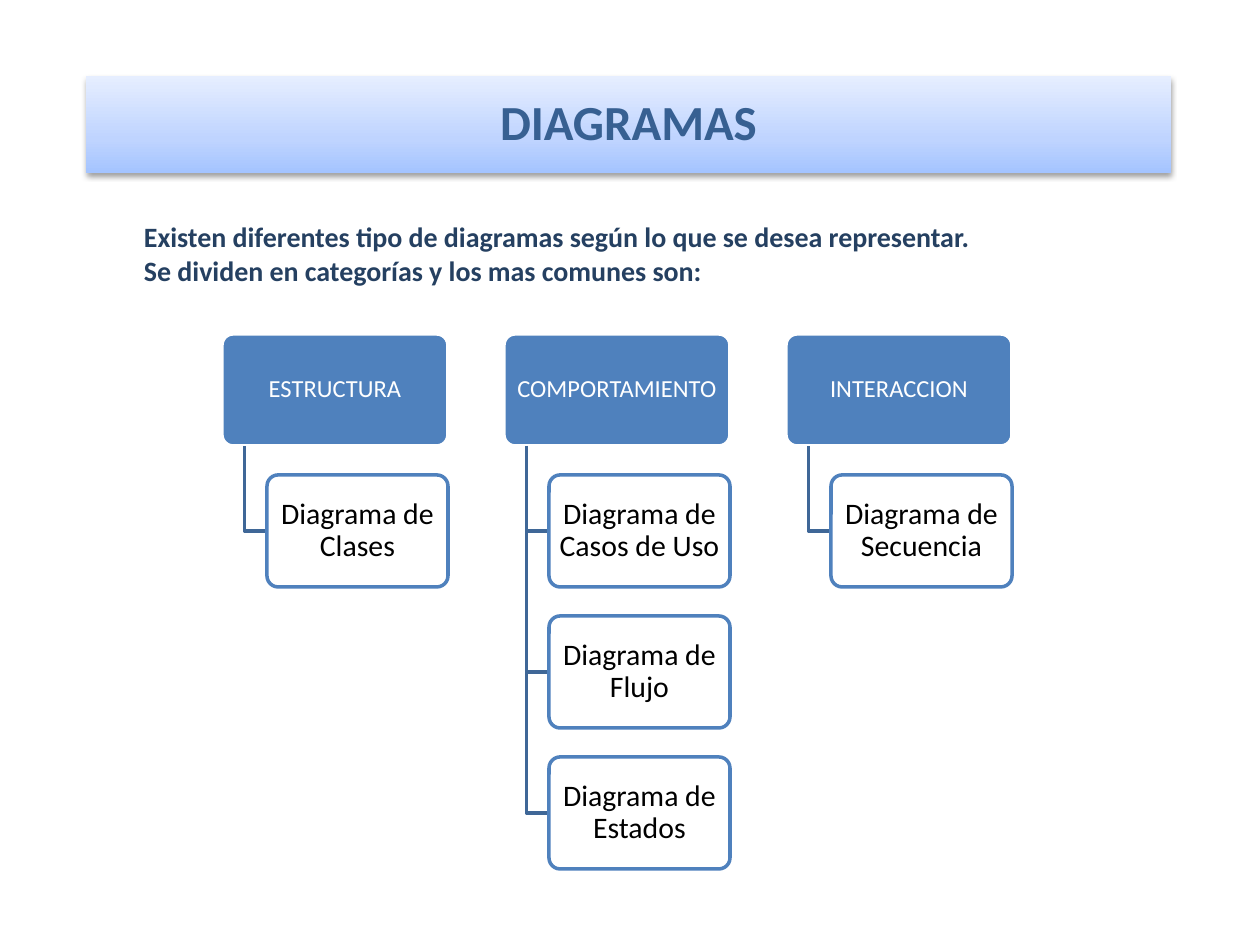
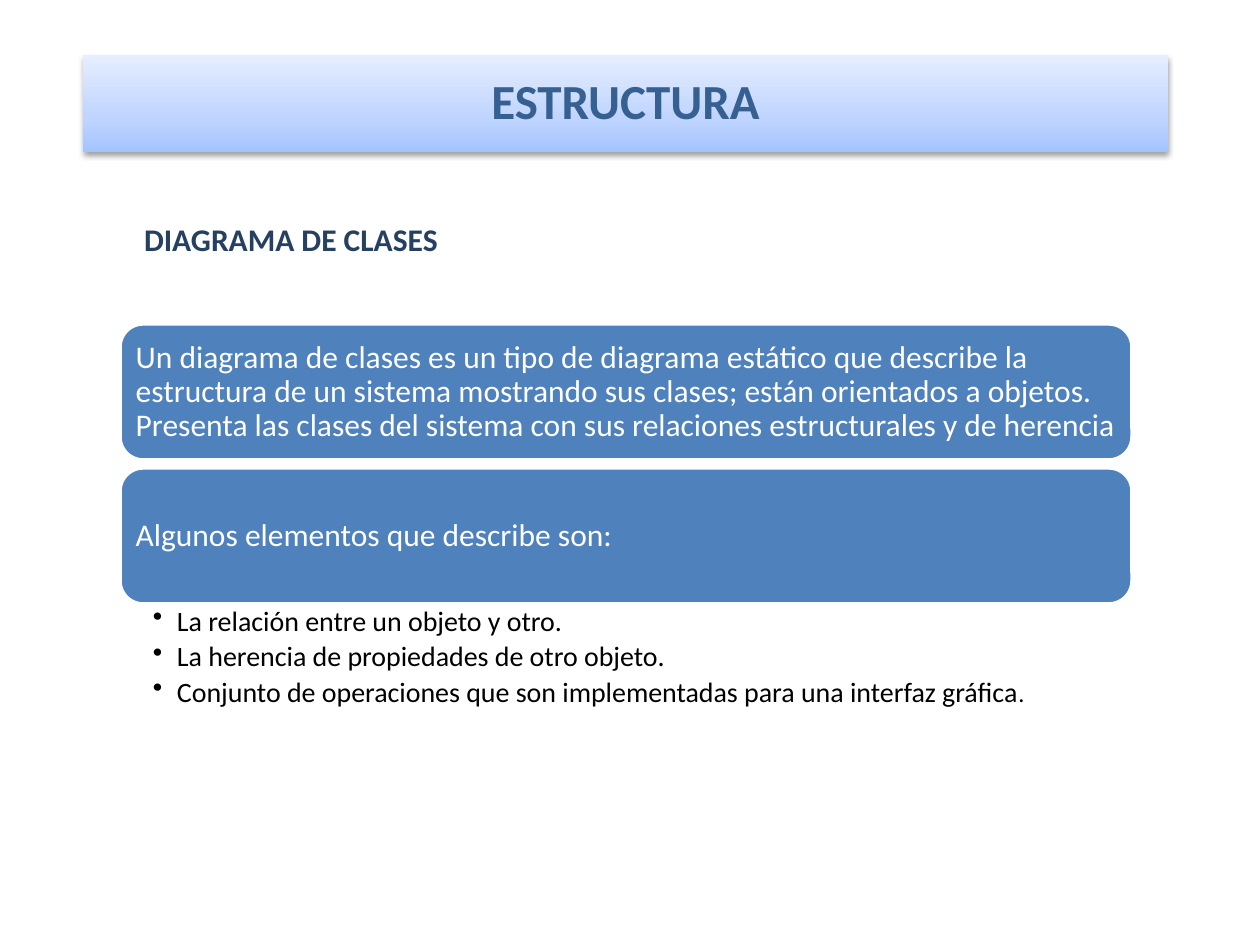
from copy import deepcopy

from lxml import etree
from pptx import Presentation
from pptx.dml.color import RGBColor
from pptx.enum.shapes import MSO_SHAPE
from pptx.enum.text import MSO_ANCHOR, PP_ALIGN
from pptx.oxml.ns import qn
from pptx.util import Emu, Pt

RECT, ROUND = MSO_SHAPE.RECTANGLE, MSO_SHAPE.ROUNDED_RECTANGLE
LEFT, CENTER = PP_ALIGN.LEFT, PP_ALIGN.CENTER
TOP, MIDDLE = MSO_ANCHOR.TOP, MSO_ANCHOR.MIDDLE

PX_PER_INCH = 126
FONT = "Calibri"
COLORS = {
    "white": "FFFFFF",
    "black": "000000",
    "blue": "4F81BD",
    "connector": "3F6797",
    "title": "376092",
    "heading": "254061",
}
BAND_STOPS = [(0, "A4C4FF"), (0.35, "BFD4FF"), (1, "E6EEFF")]
BAND_SIZE = (1085, 97)


def px(n):
    return Emu(round(n * 914400 / PX_PER_INCH))


def rgb(name):
    return RGBColor.from_string(COLORS[name])


def set_frame(s, insets, anchor):
    tf = s.text_frame
    tf.word_wrap = True
    tf.vertical_anchor = anchor
    tf.margin_left, tf.margin_top, tf.margin_right, tf.margin_bottom = map(px, insets)
    return tf


def add_run(p, text, size, color, bold=False):
    r = p.add_run()
    r.text = text
    r.font.name = FONT
    r.font.size = Pt(size)
    r.font.bold = bold
    r.font.color.rgb = rgb(color)


def write_line(s, text, size, color, insets, align=CENTER, bold=False):
    p = set_frame(s, insets, MIDDLE).paragraphs[0]
    p.alignment = align
    p.line_spacing = 0.9
    add_run(p, text, size, color, bold)


def add_box(slide, box, fill, line, radius):
    s = slide.shapes.add_shape(ROUND, *map(px, box))
    s.adjustments[0] = radius
    s.shadow.inherit = False
    s.fill.solid()
    s.fill.fore_color.rgb = rgb(fill)
    s.line.color.rgb = rgb(line)
    s.line.width = Pt(2)
    return s


def add_band_shadow(s):
    s.shadow.inherit = False
    effects = s._element.spPr.find(qn("a:effectLst"))
    shadow = etree.SubElement(effects, qn("a:outerShdw"), blurRad="40000",
                              dist="20000", dir="5400000", rotWithShape="0")
    color = etree.SubElement(shadow, qn("a:srgbClr"), val=COLORS["black"])
    etree.SubElement(color, qn("a:alpha"), val="38000")


def title_band(slide, left, top, text):
    s = slide.shapes.add_shape(RECT, *map(px, (left, top, *BAND_SIZE)))
    s.line.fill.background()
    s.fill.gradient()
    s.fill.gradient_angle = 90
    stop_list = s._element.spPr.find(qn("a:gradFill")).find(qn("a:gsLst"))
    stop_list.insert(1, deepcopy(stop_list[0]))
    for stop, (position, color) in zip(s.fill.gradient_stops, BAND_STOPS):
        stop.position = position
        stop.color.rgb = RGBColor.from_string(color)
    add_band_shadow(s)
    write_line(s, text, 28, "title", (16, 16, 16, 16), bold=True)


def heading(slide, box, lines, size):
    s = slide.shapes.add_textbox(*map(px, box))
    tf = set_frame(s, (13, 6, 13, 6), TOP)
    for i, line in enumerate(lines):
        p = tf.add_paragraph() if i else tf.paragraphs[0]
        add_run(p, line, size, "heading", True)


def elbow(slide, left, top, right, bottom):
    builder = slide.shapes.build_freeform(px(left), px(top))
    builder.add_line_segments([(px(left), px(bottom)), (px(right), px(bottom))],
                              close=False)
    s = builder.convert_to_shape()
    s.shadow.inherit = False
    s.fill.background()
    s.line.color.rgb = rgb("connector")
    s.line.width = Pt(2)


def category_tree(slide, box, category, diagrams):
    left, top, width, height = box
    indent, pitch = 45, 141
    root = add_box(slide, box, "blue", "white", 0.1)
    write_line(root, category, 14, "white", (3, 3, 3, 3))
    for i, diagram in enumerate(diagrams, 1):
        child_left, child_top = left + indent, top + i * pitch
        elbow(slide, left + indent / 2, top + height,
              child_left, child_top + height / 2)
        child = add_box(slide, (child_left, child_top, width - indent, height),
                        "white", "blue", 0.1)
        write_line(child, diagram, 17, "black", (4, 3, 4, 3))


def bullet_list(slide, box, items):
    s = slide.shapes.add_textbox(*map(px, box))
    tf = set_frame(s, (33, 3, 15, 3), TOP)
    for i, runs in enumerate(items):
        p = tf.add_paragraph() if i else tf.paragraphs[0]
        p.line_spacing = 0.9
        p.space_after = Pt(3)
        props = p._p.get_or_add_pPr()
        props.set("marL", str(px(24)))
        props.set("indent", str(px(-24)))
        etree.SubElement(props, qn("a:buChar"), char="•")
        for text, size in runs:
            add_run(p, text, size, "black")


def statement_list(slide, box, statements, items):
    left, top, width, height = box
    block, pitch = 136, 144
    for i, text in enumerate(statements):
        s = add_box(slide, (left, top + i * pitch, width, block),
                    "blue", "white", 0.17)
        write_line(s, text, 18, "white", (9, 9, 9, 9), LEFT)
    used = (len(statements) - 1) * pitch + block
    bullet_list(slide, (left, top + used, width, height - used), items)


def diagrams_slide(slide):
    trees = [
        ("ESTRUCTURA", ["Diagrama de Clases"]),
        ("COMPORTAMIENTO", ["Diagrama de Casos de Uso", "Diagrama de Flujo",
                            "Diagrama de Estados"]),
        ("INTERACCION", ["Diagrama de Secuencia"]),
    ]
    for i, (category, diagrams) in enumerate(trees):
        category_tree(slide, (222 + i * 282, 334, 226, 112), category, diagrams)
    title_band(slide, 86, 76, "DIAGRAMAS")
    heading(slide, (131, 214, 985, 81), [
        "Existen diferentes tipo de diagramas según lo que se desea representar. ",
        "Se dividen en categorías y los mas comunes son:",
    ], 16)


def structure_slide(slide):
    title_band(slide, 83, 55, "ESTRUCTURA")
    statement_list(slide, (120, 324, 1012, 393), [
        "Un\u00a0diagrama de clases\u00a0es un tipo de diagrama estático que describe "
        "la estructura de un\u00a0sistema mostrando sus clases; están orientados a "
        "objetos. Presenta las clases del sistema con sus relaciones estructurales "
        "y de herencia",
        "Algunos elementos que describe son:",
    ], [
        [("La relación entre un objeto y otro.", 16)],
        [("La herencia de propiedades de otro objeto. ", 16)],
        [("Conjunto de operaciones que son implementadas para una interfaz gráfica",
          16), (".", 14)],
    ])
    heading(slide, (131, 214, 714, 50), ["DIAGRAMA DE CLASES"], 18)


prs = Presentation()
prs.slide_width, prs.slide_height = px(1260), px(945)
for build in (diagrams_slide, structure_slide):
    build(prs.slides.add_slide(prs.slide_layouts[6]))
prs.save("out.pptx")
